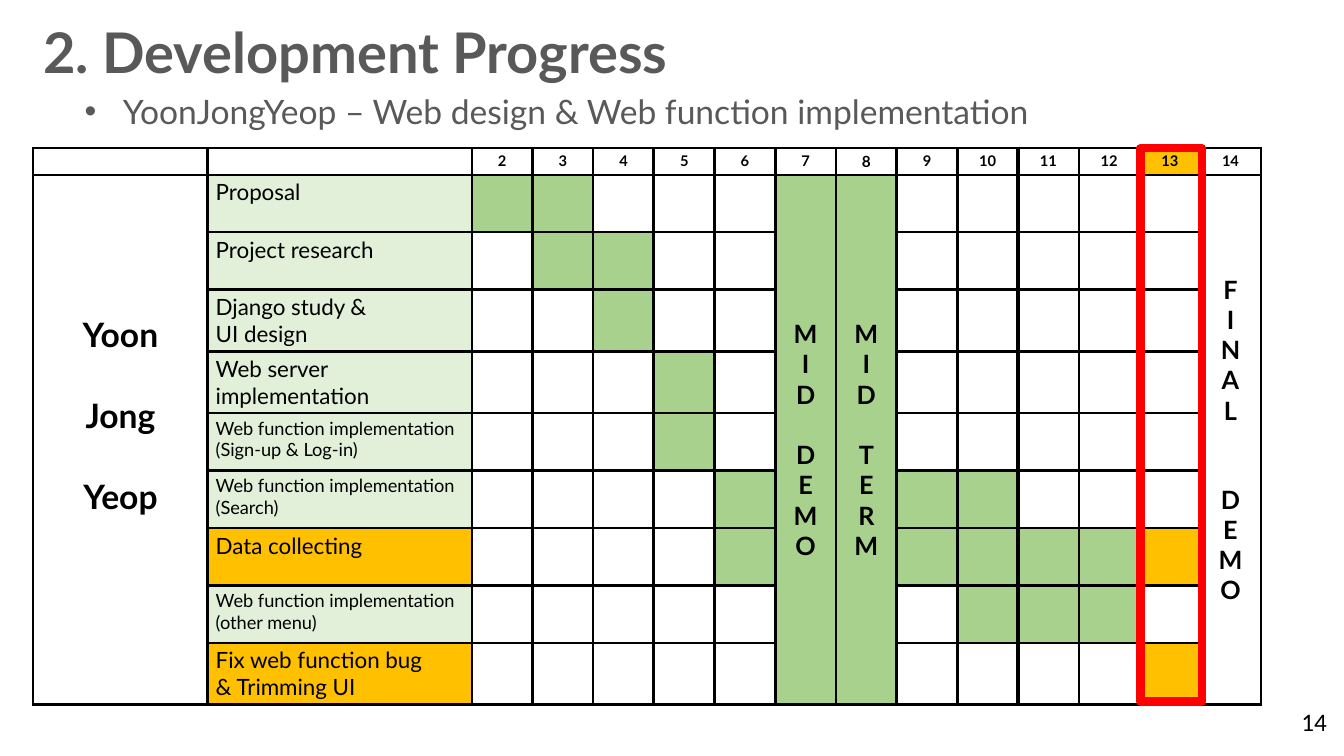
from lxml.etree import SubElement
from pptx import Presentation
from pptx.dml.color import RGBColor
from pptx.enum.shapes import MSO_SHAPE
from pptx.enum.text import MSO_ANCHOR, MSO_AUTO_SIZE, PP_ALIGN
from pptx.oxml import parse_xml
from pptx.oxml.ns import nsdecls, qn
from pptx.util import Inches, Pt

BLACK = RGBColor(0x00, 0x00, 0x00)
WHITE = RGBColor(0xFF, 0xFF, 0xFF)
GRAY = RGBColor(0x59, 0x59, 0x59)
GREEN = RGBColor(0xA9, 0xD1, 0x8E)
PALE_GREEN = RGBColor(0xE2, 0xF0, 0xD9)
ORANGE = RGBColor(0xFF, 0xC0, 0x00)
RED = RGBColor(0xFF, 0x00, 0x00)

# Schedule: week numbers equal the column indices of the table
FIRST_WEEK, LAST_WEEK, CURRENT_WEEK = 2, 14, 13
TASKS = [  # lines, text size, row height, active weeks
    (["Proposal"], 16, 0.57, {2, 3}),
    (["Project research"], 16, 0.57, {3, 4}),
    (["Django study &", "UI design"], 16, 0.61, {4}),
    (["Web server implementation"], 16, 0.61, {5}),
    (["Web function implementation", "(Sign-up & Log-in)"], 13, 0.57, {5}),
    (["Web function implementation", "(Search)"], 13, 0.57, {6, 9, 10}),
    (["Data collecting"], 16, 0.57, {6, 9, 10, 11, 12, 13}),
    (["Web function implementation", "(other menu)"], 13, 0.57, {10, 11, 12}),
    (["Fix web function bug", "& Trimming UI"], 16, 0.61, {13}),
]
MILESTONES = [  # week, words, gap between the words, fill
    (7, ("MID", "DEMO"), 21.6, GREEN),
    (8, ("MID", "TERM"), 21.6, GREEN),
    (14, ("FINAL", "DEMO"), 42, WHITE),
]
OWNER = ["Yoon", "Jong", "Yeop"]
THICK_AFTER = {4, 10}  # weeks followed by a heavier rule


def write(frame, lines, size=16, font="Lato", color=BLACK, bold=False,
          align=PP_ALIGN.LEFT, gaps=None):
    """Fill a text frame; gaps maps a line index to the points above it."""
    for index, line in enumerate(lines):
        paragraph = frame.paragraphs[0] if index == 0 else frame.add_paragraph()
        paragraph.alignment = align
        if gaps and index in gaps:
            paragraph.space_before = Pt(gaps[index])
        run = paragraph.add_run()
        run.text = line
        run.font.size = Pt(size)
        run.font.name = font
        run.font.bold = bold
        run.font.color.rgb = color


class ProgressSlide:
    rule, thick_rule = Pt(1.98), Pt(2.55)

    def __init__(self, presentation):
        self.slide = presentation.slides.add_slide(presentation.slide_layouts[5])

    def title(self, text, left, top, width, height):
        heading = self.slide.shapes.title
        heading.left, heading.top = Inches(left), Inches(top)
        heading.width, heading.height = Inches(width), Inches(height)
        heading.text_frame.auto_size = MSO_AUTO_SIZE.NONE
        heading.text_frame.vertical_anchor = MSO_ANCHOR.TOP
        write(heading.text_frame, [text], size=40, color=GRAY, bold=True)

    def text(self, text, left, top, width, height, wrap=True, bullet=False, **style):
        box = self.slide.shapes.add_textbox(
            Inches(left), Inches(top), Inches(width), Inches(height))
        box.text_frame.word_wrap = wrap
        write(box.text_frame, [text], **style)
        if bullet:
            properties = box.text_frame.paragraphs[0]._p.get_or_add_pPr()
            properties.set("marL", str(Inches(0.38)))
            properties.set("indent", str(-Inches(0.38)))
            SubElement(properties, qn("a:buFont")).set("typeface", "Arial")
            SubElement(properties, qn("a:buChar")).set("char", "•")

    def frame(self, left, top, width, height):
        outline = self.slide.shapes.add_shape(
            MSO_SHAPE.RECTANGLE, Inches(left), Inches(top), Inches(width), Inches(height))
        outline.shadow.inherit = False
        outline.fill.background()
        outline.line.color.rgb = RED
        outline.line.width = Pt(6)

    def cell(self, cell, fill):
        cell.fill.solid()
        cell.fill.fore_color.rgb = fill
        cell.margin_left = cell.margin_right = Inches(0.08)
        cell.margin_top = cell.margin_bottom = Inches(0.04)
        # Small end mark keeps empty cells from stretching their row
        cell.text_frame.paragraphs[0]._p.get_or_add_endParaRPr().set("sz", "1050")

    def borders(self, cell, column):
        properties = cell._tc.get_or_add_tcPr()
        thick = {"L": column - 1 in THICK_AFTER, "R": column in THICK_AFTER}
        for position, side in enumerate("LRTB"):
            width = self.thick_rule if thick.get(side) else self.rule
            properties.insert(position, parse_xml(
                f'<a:ln{side} {nsdecls("a")} w="{width}"><a:solidFill>'
                f'<a:srgbClr val="{BLACK}"/></a:solidFill></a:ln{side}>'))

    def schedule(self, left, top, width, height):
        table = self.slide.shapes.add_table(
            len(TASKS) + 1, LAST_WEEK + 1,
            Inches(left), Inches(top), Inches(width), Inches(height)).table
        table.first_row = table.horz_banding = False

        # Column widths and row heights
        owner_width, task_width = 1.73, 2.62
        week_width = (width - owner_width - task_width) / (LAST_WEEK - FIRST_WEEK + 1)
        for index, column in enumerate(table.columns):
            column.width = Inches([owner_width, task_width][index] if index < FIRST_WEEK
                                  else week_width)
        for row, row_height in zip(table.rows, [0.25] + [task[2] for task in TASKS]):
            row.height = Inches(row_height)

        # Common cell format
        for row in table.rows:
            for column, cell in enumerate(row.cells):
                self.cell(cell, WHITE)
                self.borders(cell, column)

        # Week numbers
        for week in range(FIRST_WEEK, LAST_WEEK + 1):
            write(table.cell(0, week).text_frame, [str(week)],
                  size=11 if week == 8 else 10.5, bold=True, align=PP_ALIGN.CENTER)
        table.cell(0, CURRENT_WEEK).fill.fore_color.rgb = ORANGE

        # Tasks and their active weeks
        for row, (lines, size, _, weeks) in enumerate(TASKS, start=1):
            task = table.cell(row, 1)
            task.fill.fore_color.rgb = ORANGE if CURRENT_WEEK in weeks else PALE_GREEN
            write(task.text_frame, lines, size=size)
            for week in weeks:
                table.cell(row, week).fill.fore_color.rgb = (
                    ORANGE if week == CURRENT_WEEK else GREEN)

        # Owner and milestones span all task rows
        owner = self.span(table, 0, OWNER, 24, WHITE, {1: 29, 2: 29})
        owner.margin_bottom = Inches(0.52)
        for week, words, gap, fill in MILESTONES:
            self.span(table, week, "".join(words), 18, fill, {len(words[0]): gap})

    def span(self, table, column, lines, size, fill, gaps):
        merged = table.cell(1, column)
        merged.merge(table.cell(len(TASKS), column))
        merged.fill.fore_color.rgb = fill
        merged.vertical_anchor = MSO_ANCHOR.MIDDLE
        write(merged.text_frame, lines, size=size, bold=True,
              align=PP_ALIGN.CENTER, gaps=gaps)
        return merged


def main():
    presentation = Presentation()
    presentation.slide_width, presentation.slide_height = Inches(13.33), Inches(7.5)
    progress = ProgressSlide(presentation)

    # Heading
    progress.title("2. Development Progress", 0.33, 0.12, 7.52, 0.77)
    progress.text("YoonJongYeop – Web design & Web function implementation",
                  0.74, 0.85, 12.6, 0.5, bullet=True, size=24, color=GRAY)

    # Schedule with the current week framed
    progress.schedule(0.33, 1.47, 12.18, 5.5)
    progress.frame(11.31, 1.47, 0.61, 5.49)

    # Page number
    progress.text("14", 12.81, 6.96, 0.46, 0.4, wrap=False, size=18, font="Calibri")

    presentation.save("out.pptx")


if __name__ == "__main__":
    main()
